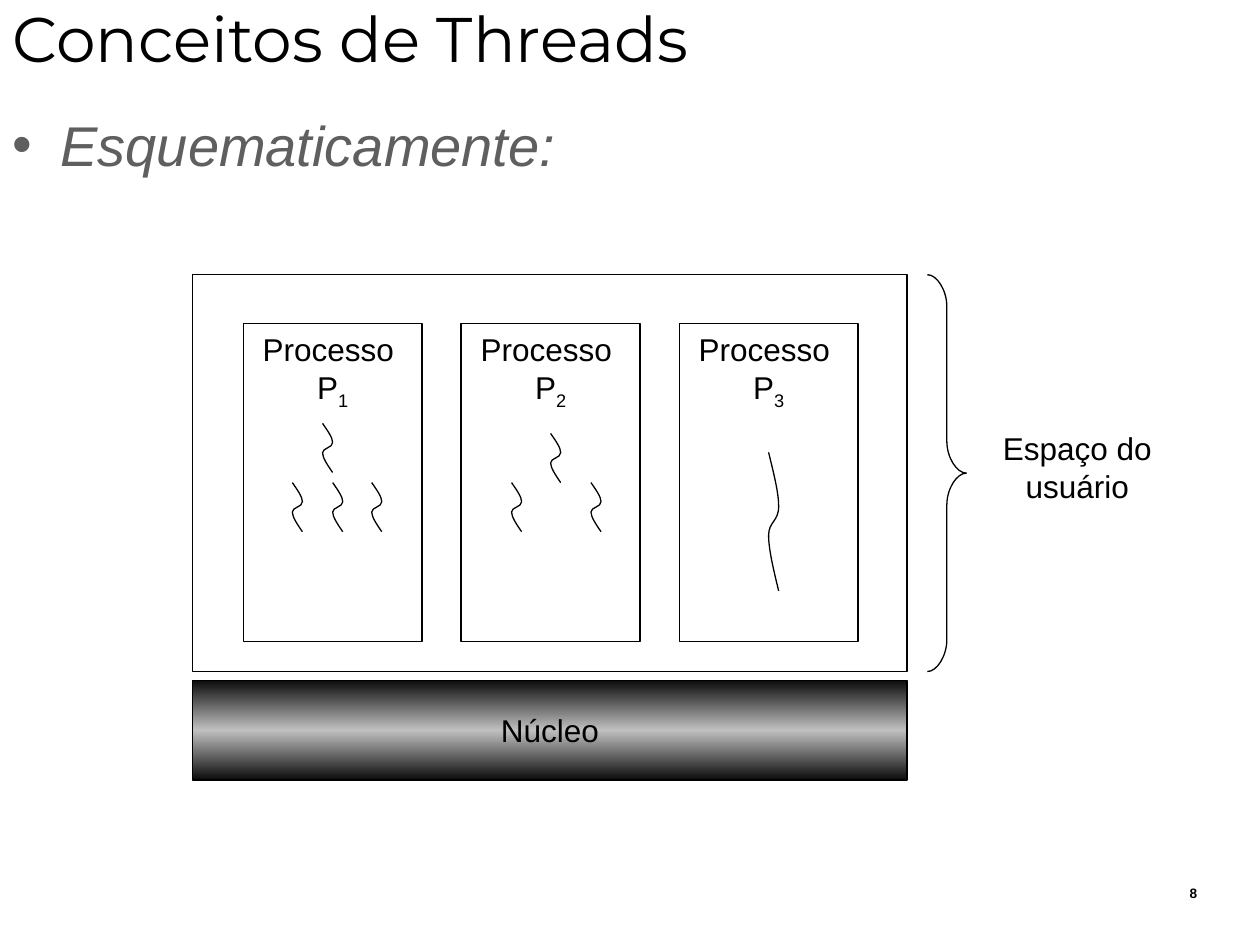
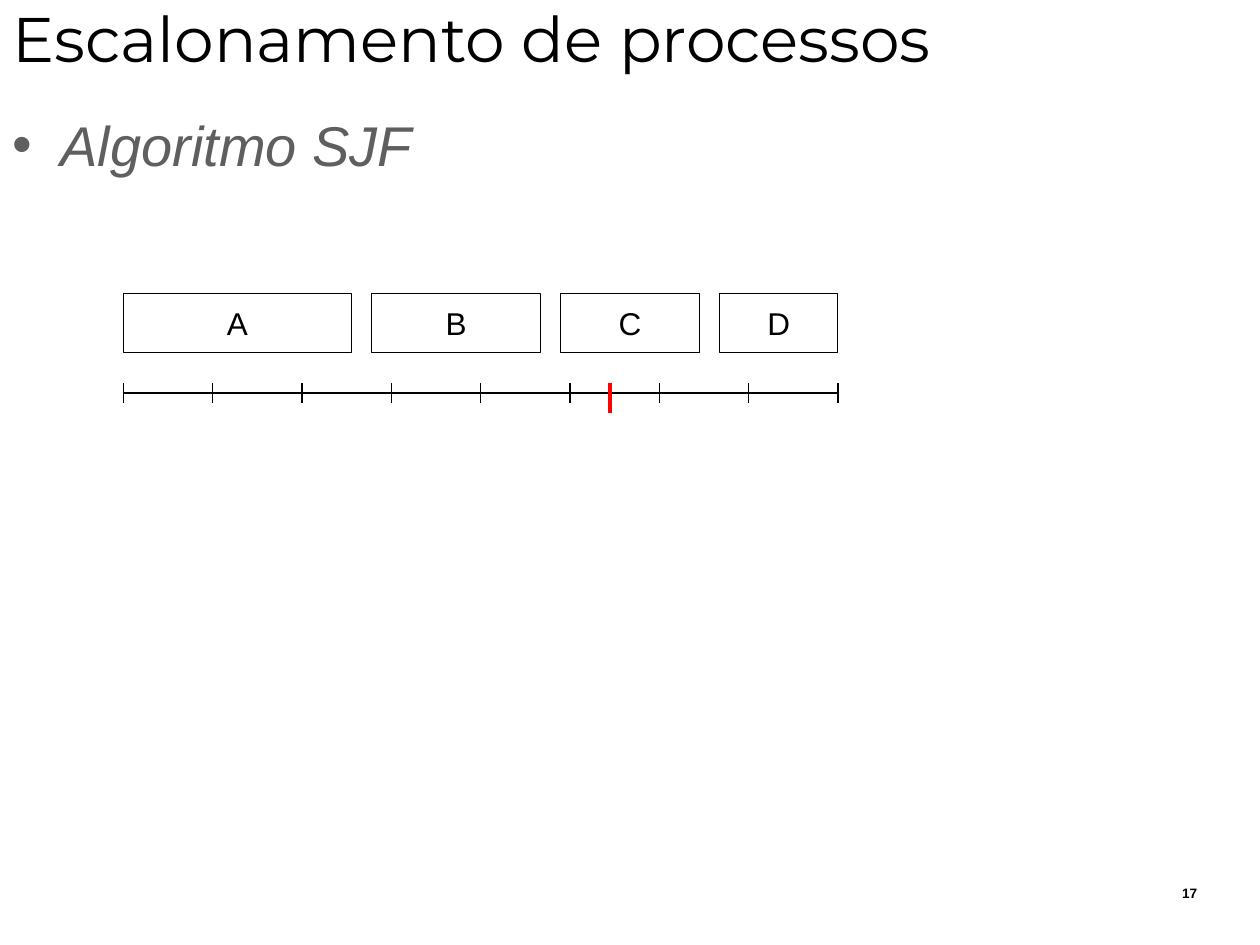
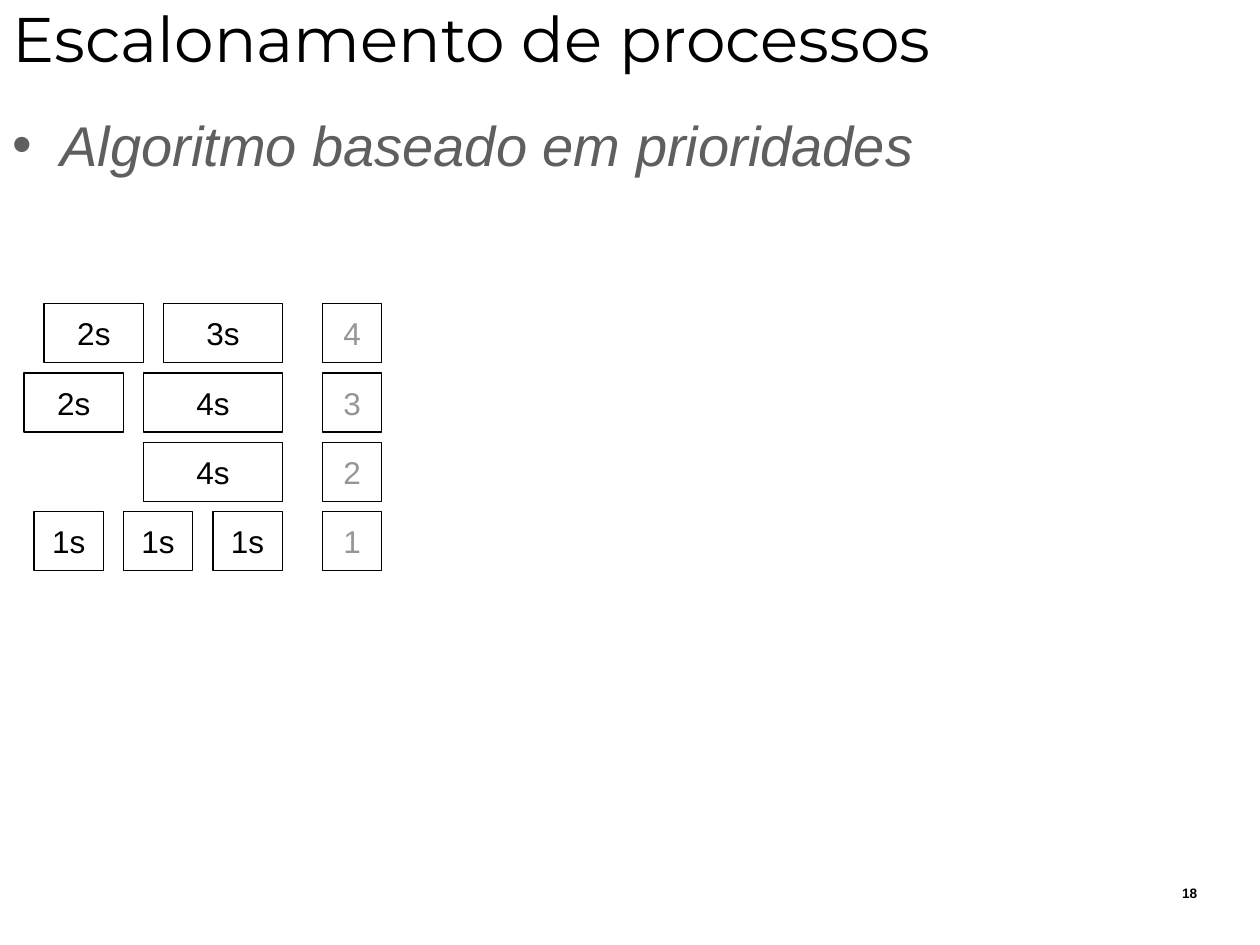
from copy import deepcopy

from pptx import Presentation
from pptx.dml.color import RGBColor as RGB
from pptx.enum.shapes import MSO_CONNECTOR as Link, MSO_SHAPE as Kind
from pptx.enum.text import MSO_ANCHOR as Anchor, MSO_AUTO_SIZE as Fit, PP_ALIGN as Align
from pptx.oxml.ns import qn
from pptx.oxml.xmlchemy import OxmlElement as Elem
from pptx.util import Inches, Pt

BLACK = RGB(0x00, 0x00, 0x00)
GREY = RGB(0x5F, 0x5F, 0x5F)
PALE = RGB(0x96, 0x96, 0x96)
DARK = RGB(0x0C, 0x0C, 0x0C)
SILVER = RGB(0xC0, 0xC0, 0xC0)
RED = RGB(0xFF, 0x00, 0x00)

TITLE = {"name": "Montserrat", "size": Pt(36)}
BODY = {"name": "Arial", "size": Pt(32), "italic": True}
LABEL = {"name": "Arial", "size": Pt(18)}
FOOT = {"name": "Arial", "size": Pt(7.8), "bold": True}

THIN = 0.75
GAP = 0.16
SIDE = 0.47

# Outlines as fractions of a box: one point is a line, three are a curve
WAVE = [
    [(0, 0)],
    [(0.5, 0.15), (1, 0.29), (1, 0.39)],
    [(1, 0.5), (0, 0.5), (0, 0.6)],
    [(0, 0.7), (0.5, 0.85), (1, 1)],
]
BRACE = [
    [(0, 0)],
    [(0.25, 0), (0.5, 0.04), (0.5, 0.08)],
    [(0.5, 0.42)],
    [(0.5, 0.46), (0.75, 0.5), (1, 0.5)],
    [(0.75, 0.5), (0.5, 0.54), (0.5, 0.58)],
    [(0.5, 0.92)],
    [(0.5, 0.96), (0.25, 1), (0, 1)],
]


def place(shape, *box):
    for name, value in zip(("left", "top", "width", "height"), box):
        setattr(shape, name, Inches(value))


def style(run, form, color=BLACK):
    for name, value in form.items():
        setattr(run.font, name, value)
    run.font.color.rgb = color


def write(shape, text, form, color=BLACK, align=Align.LEFT, anchor=Anchor.TOP, wrap=True):
    frame = shape.text_frame
    values = {"text": text, "word_wrap": wrap, "vertical_anchor": anchor, "auto_size": Fit.NONE}
    for name, value in values.items():
        setattr(frame, name, value)
    para = frame.paragraphs[0]
    para.alignment = align
    para.space_before = Pt(0)
    for run in para.runs:
        style(run, form, color)
    return para


def note(host, text, box, form, align):
    shape = host.shapes.add_textbox(*map(Inches, box))
    write(shape, text, form, align=align)


def page(deck, title, point, number, high=0.79):
    """Add a slide with its title, bullet and number."""
    slide = deck.slides.add_slide(deck.slide_layouts[1])
    head, body = slide.placeholders
    place(head, 0, -0.08, 10, 0.75)
    write(head, title, TITLE, anchor=Anchor.MIDDLE)
    place(body, 0, 0.83, 10, high)
    para = write(body, point, BODY, GREY)
    props = para._p.get_or_add_pPr()
    props.set("marL", str(Inches(0.38)))
    props.set("indent", str(Inches(-0.38)))
    note(slide, str(number), (7.52, 6.97, 2.08, 0.25), FOOT, Align.RIGHT)
    return slide


def ink(shape, color=BLACK, width=THIN):
    shape.line.color.rgb = color
    shape.line.width = Pt(width)


def outline(shape):
    shape.shadow.inherit = False
    shape.fill.background()
    ink(shape)


def block(slide, box, text="", color=BLACK, anchor=Anchor.MIDDLE):
    shape = slide.shapes.add_shape(Kind.RECTANGLE, *map(Inches, box))
    outline(shape)
    if text:
        write(shape, text, LABEL, color, Align.CENTER, anchor, False)
    return shape


def shade(shape, colors):
    """Fill with evenly spaced colours from top to bottom."""
    fill = shape.fill
    fill.gradient()
    fill.gradient_angle = 270
    stops = shape._element.spPr.find(".//" + qn("a:gsLst"))
    while len(stops) < len(colors):
        stops.append(deepcopy(stops[0]))
    for i, (stop, color) in enumerate(zip(fill.gradient_stops, colors)):
        stop.position = i / (len(colors) - 1)
        stop.color.rgb = color


def rule(host, x1, y1, x2, y2, color=BLACK, width=THIN):
    line = host.shapes.add_connector(Link.STRAIGHT, *map(Inches, (x1, y1, x2, y2)))
    ink(line, color, width)
    line._element.spPr.append(Elem("a:effectLst"))


def curve(host, form, left, top, wide, high):
    """Draw an outline, turning each run of three points into a Bezier curve."""
    dots = [(Inches(left + wide * x), Inches(top + high * y)) for part in form for x, y in part]
    draft = host.shapes.build_freeform(*dots[0], scale=1.0)
    draft.add_line_segments(dots[1:], close=False)
    shape = draft.convert_to_shape()
    outline(shape)
    lines = iter(shape._element.spPr.findall(".//" + qn("a:lnTo")))
    for part in form[1:]:
        legs = [next(lines) for _ in part]
        if len(legs) == 3:
            bend = Elem("a:cubicBezTo")
            legs[0].addprevious(bend)
            for leg in legs:
                bend.append(leg[0])
                leg.getparent().remove(leg)


def process(slide, index):
    box = (1.93 + 1.73 * (index - 1), 2.57, 1.42, 2.52)
    shape = block(slide, box, "Processo \vP", anchor=Anchor.TOP)
    run = shape.text_frame.paragraphs[0].add_run()
    run.text = str(index)
    style(run, LABEL)
    run._r.get_or_add_rPr().set("baseline", "-25000")


def threads(deck):
    slide = page(deck, "Conceitos de Threads", "Esquematicamente:", 8, 1.26)
    core = block(slide, (1.53, 5.4, 5.67, 0.79), "Núcleo")
    shade(core, (DARK, SILVER, DARK))
    block(slide, (1.53, 2.18, 5.67, 3.15))
    space = slide.shapes.add_group_shape()
    curve(space, BRACE, 7.36, 2.18, 0.31, 3.15)
    note(space, "Espaço do usuário", (7.84, 3.36, 1.42, 0.7), LABEL, Align.CENTER)
    for index in (1, 2, 3):
        process(slide, index)
    short = [(2.32, 3.83), (2.56, 3.36), (2.64, 3.83), (2.95, 3.83),
             (4.06, 3.83), (4.37, 3.44), (4.69, 3.83)]
    for left, top in short:
        curve(slide, WAVE, left, top, 0.08, 0.39)
    curve(slide, WAVE, 6.1, 3.59, 0.08, 1.1)


def shortest(deck):
    slide = page(deck, "Escalonamento de processos", "Algoritmo SJF", 17)
    start, end, axis, parts = 0.98, 6.65, 3.12, 8
    left = start
    for name, wide in zip("ABCD", (1.81, 1.34, 1.1, 0.94)):
        block(slide, (left, 2.33, wide, SIDE), name)
        left += wide + GAP
    step = (end - start) / parts
    for i in range(parts):
        unit = slide.shapes.add_group_shape()
        x = start + i * step
        rule(unit, x, axis, x + step, axis)
        ticks = (x, end) if i == parts - 1 else (x,)
        for tick in ticks:
            rule(unit, tick, axis - 0.08, tick, axis + 0.08)
    rule(slide, 4.84, 3.04, 4.84, 3.28, RED, 2.5)


def ranks(deck):
    slide = page(deck, "Escalonamento de processos", "Algoritmo baseado em prioridades", 18)
    queues = {
        "4": [("3s", 0.94), ("2s", 0.79)],
        "3": [("4s", 1.1), ("2s", 0.79)],
        "2": [("4s", 1.1)],
        "1": [("1s", 0.55)] * 3,
    }
    tops = [2.41 + 0.55 * row for row in range(len(queues))]
    for rank, top in zip(queues, tops):
        block(slide, (2.56, top, SIDE, SIDE), rank, PALE)
    for jobs, top in zip(queues.values(), tops):
        right = 2.24
        for time, wide in jobs:
            block(slide, (right - wide, top, wide, SIDE), time)
            right -= wide + GAP


def main():
    deck = Presentation()
    deck.slide_width, deck.slide_height = Inches(10), Inches(7.5)
    for build in (threads, shortest, ranks):
        build(deck)
    deck.save("out.pptx")


if __name__ == "__main__":
    main()
